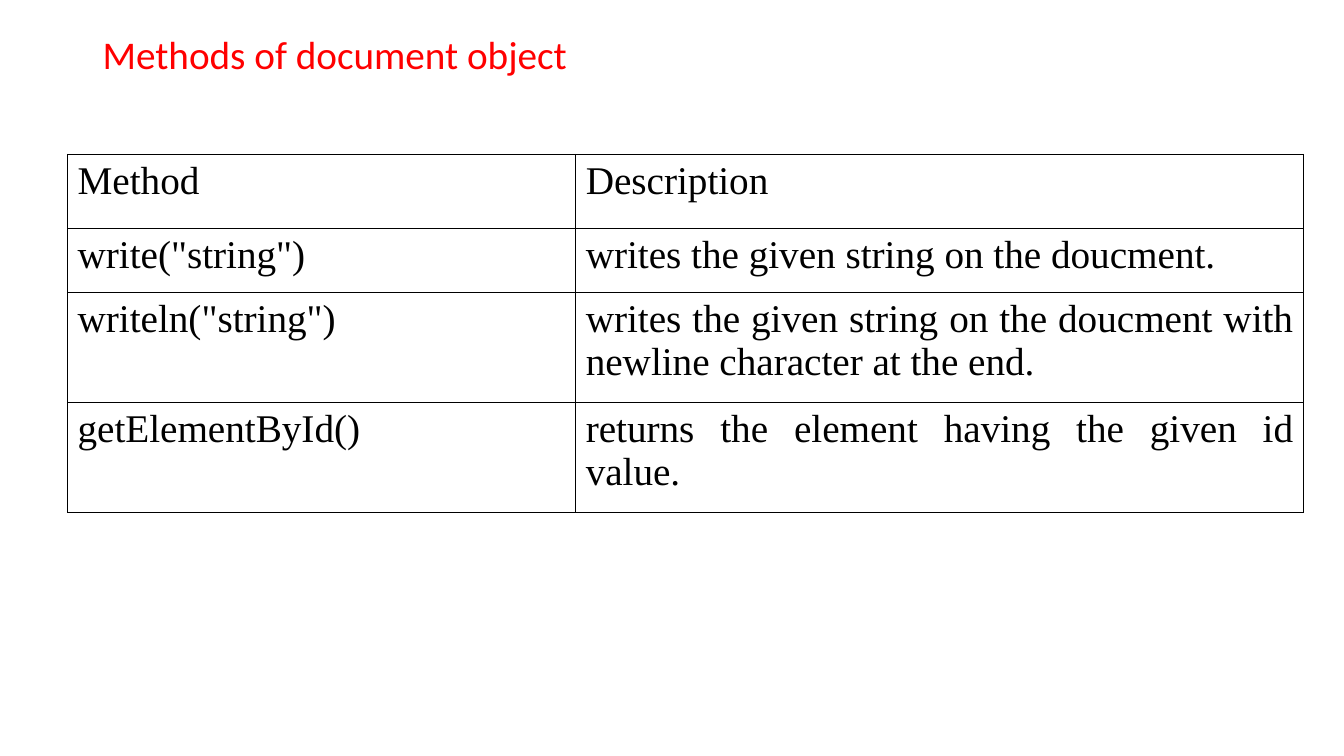
from dataclasses import dataclass
from typing import Any

from lxml.etree import SubElement
from pptx import Presentation
from pptx.dml.color import RGBColor as Color
from pptx.enum.text import MSO_ANCHOR as Anchor, PP_ALIGN as Align
from pptx.oxml.ns import qn
from pptx.util import Inches, Pt


@dataclass(frozen=True)
class Theme:
    red: str = "FF0000"
    black: str = "000000"
    title_font: str = "Calibri"
    table_font: str = "Times New Roman"
    text_size: int = 28
    border_width: float = 0.5


@dataclass(frozen=True)
class MethodRow:
    method: str
    description: str
    height: float
    align: Any = Align.JUSTIFY


THEME = Theme()
COLUMN_WIDTHS = (5.04, 7.22)
METHOD_ROWS = (
    MethodRow("Method", "Description", 0.74, Align.LEFT),
    MethodRow('write("string")', "writes the given string on the doucment.", 0.63),
    MethodRow(
        'writeln("string")',
        "writes the given string on the doucment with newline character at the end.",
        1.09,
    ),
    MethodRow("getElementById()", "returns the element having the given id value.", 1.09),
)


def set_values(target: Any, values: dict[str, Any]) -> None:
    for name, value in values.items():
        setattr(target, name, value)


def write_text(para: Any, text: str, font_name: str, color: str) -> None:
    span = para.add_run()
    span.text = text
    set_values(span.font, {"name": font_name, "size": Pt(THEME.text_size), "bold": False})
    span.font.color.rgb = Color.from_string(color)


def add_borders(cell: Any) -> None:
    properties = cell._tc.get_or_add_tcPr()
    for side in ("lnL", "lnR", "lnT", "lnB"):
        line = SubElement(properties, qn(f"a:{side}"), w=str(Pt(THEME.border_width)))
        fill = SubElement(line, qn("a:solidFill"))
        SubElement(fill, qn("a:srgbClr"), val=THEME.black)


def add_title(page: Any, text: str) -> None:
    box = page.shapes.add_textbox(Inches(0.92), Inches(0.27), Inches(11.5), Inches(0.59))
    set_values(box.text_frame, {"word_wrap": True, "vertical_anchor": Anchor.MIDDLE})
    para = box.text_frame.paragraphs[0]
    para.line_spacing = 0.9
    write_text(para, text, THEME.title_font, THEME.red)


def add_method_table(page: Any, rows: tuple[MethodRow, ...]) -> None:
    table = page.shapes.add_table(
        len(rows),
        len(COLUMN_WIDTHS),
        Inches(0.67),
        Inches(1.53),
        Inches(sum(COLUMN_WIDTHS)),
        Inches(sum(row.height for row in rows)),
    ).table
    set_values(table, {"first_row": False, "horz_banding": False})
    for column, width in zip(table.columns, COLUMN_WIDTHS):
        column.width = Inches(width)
    for table_row, row in zip(table.rows, rows):
        table_row.height = Inches(row.height)
        for cell, text in zip(table_row.cells, (row.method, row.description)):
            add_borders(cell)
            cell.fill.background()
            para = cell.text_frame.paragraphs[0]
            para.alignment = row.align
            write_text(para, text, THEME.table_font, THEME.black)


def main() -> None:
    deck = Presentation()
    set_values(deck, {"slide_width": Inches(13.33), "slide_height": Inches(7.5)})
    page = deck.slides.add_slide(deck.slide_layouts[6])
    add_title(page, "Methods of document object")
    add_method_table(page, METHOD_ROWS)
    deck.save("out.pptx")


if __name__ == "__main__":
    main()
